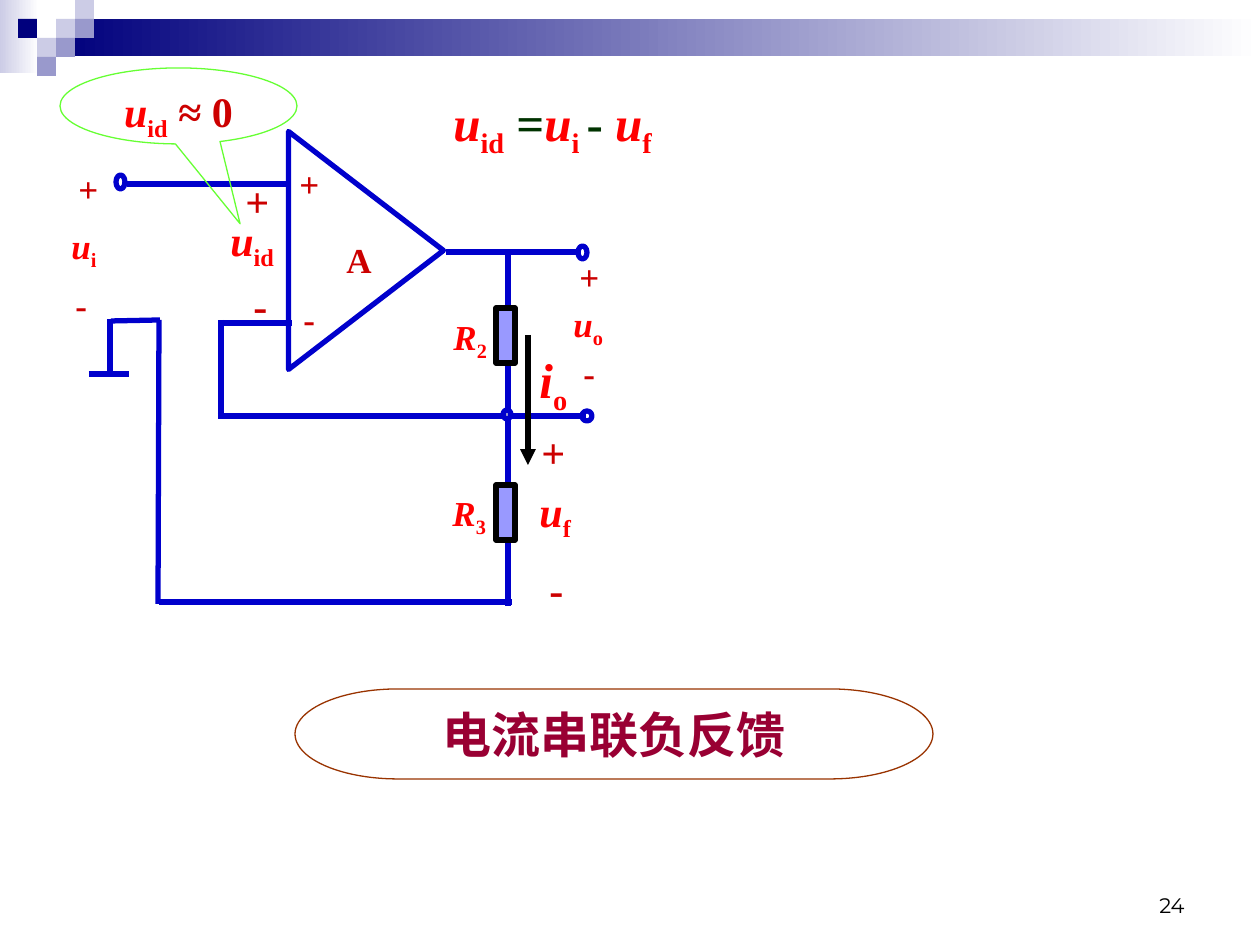
from lxml.etree import SubElement
from pptx import Presentation
from pptx.dml.color import RGBColor
from pptx.enum.shapes import MSO_CONNECTOR, MSO_SHAPE
from pptx.enum.text import MSO_ANCHOR, PP_ALIGN
from pptx.oxml.ns import qn
from pptx.util import Emu, Pt

COLORS = {
    "navy": "00007D", "lavender": "CCCCE6", "violet": "9999CC", "white": "FFFFFF",
    "wire": "0000CC", "resistor": "9999FF", "black": "000000", "brown": "993300",
    "lime": "66FF33", "symbol": "FF0000", "sign": "CC0000", "operator": "003300",
    "conclusion": "990033",
}
PIXELS_PER_INCH = 126
SERIF = "Times New Roman"


def px(value):
    """Turn pixels into EMU."""
    return Emu(round(value * 914400 / PIXELS_PER_INCH))


def color(name):
    """Look up a palette colour."""
    return RGBColor.from_string(COLORS[name])


def add_outline(slide, kind, box, line=None, width=3, fill=None):
    """Add a preset shape with an optional line and fill."""
    shape = slide.shapes.add_shape(kind, *map(px, box))
    shape.shadow.inherit = False
    if fill:
        shape.fill.solid()
        shape.fill.fore_color.rgb = color(fill)
    else:
        shape.fill.background()
    if line:
        shape.line.color.rgb = color(line)
        shape.line.width = Pt(width)
    else:
        shape.line.fill.background()
    return shape


def add_gradient(slide, box, start):
    """Add a bar that fades to white from left to right."""
    shape = add_outline(slide, MSO_SHAPE.RECTANGLE, box)
    shape.fill.gradient()
    shape.fill.gradient_angle = 0
    for stop, name in zip(shape.fill.gradient_stops, (start, "white")):
        stop.color.rgb = color(name)


def add_line(slide, points, line="wire", arrow=False):
    """Add a straight line, with an arrowhead at its end if asked."""
    connector = slide.shapes.add_connector(MSO_CONNECTOR.STRAIGHT, *map(px, points))
    connector.line.color.rgb = color(line)
    connector.line.width = Pt(3)
    if arrow:
        SubElement(connector.line._get_or_add_ln(), qn("a:tailEnd"), type="triangle")
    SubElement(connector._element.spPr, qn("a:effectLst"))


def write(shape, runs, size, align=PP_ALIGN.LEFT, anchor=MSO_ANCHOR.TOP, wrap=True,
          font=SERIF, bold=True):
    """Write (text, colour, style) runs into a shape."""
    frame = shape.text_frame
    frame.word_wrap = wrap
    frame.vertical_anchor = anchor
    paragraph = frame.paragraphs[0]
    paragraph.alignment = align
    for text, name, style in runs:
        run = paragraph.add_run()
        run.text = text
        run.font.name = font
        run.font.size = Pt(size)
        run.font.bold = bold
        run.font.italic = style == "italic"
        run.font.color.rgb = color(name)
        if style == "sub":
            run._r.get_or_add_rPr().set("baseline", "-25000")


def add_text(slide, box, runs, size, **options):
    """Add a text box."""
    write(slide.shapes.add_textbox(*map(px, box)), runs, size, **options)


def variable(letter, subscript):
    """Give the runs of an italic letter with its subscript."""
    return [(letter, "symbol", "italic"), (subscript, "symbol", "sub")]


def add_banner(slide):
    """Draw the fading bars and the mosaic of squares."""
    add_gradient(slide, (0, 0, 39, 73), "lavender")
    add_gradient(slide, (57, 19, 1203, 37), "navy")
    for column, row, name in ((3, 1, "lavender"), (4, 0, "lavender"), (4, 1, "violet"),
                              (2, 2, "lavender"), (1, 1, "navy"), (3, 2, "violet"),
                              (2, 3, "violet")):
        add_outline(slide, MSO_SHAPE.RECTANGLE, (19 * column - 1, 19 * row, 19, 19), fill=name)


def add_circuit(slide):
    """Draw the wires, amplifier, resistors, terminals and current arrow."""
    wires = (
        (508, 255, 508, 606), (159, 320, 158, 604), (446, 252, 581, 252),
        (221, 320, 221, 417), (159, 602, 512, 602), (127, 184, 289, 184),
        (218, 416, 586, 416), (111, 321, 160, 320), (219, 323, 292, 323),
        (110, 319, 110, 375), (89, 374, 129, 374),
    )
    for points in wires:
        add_line(slide, points)
    amplifier = add_outline(slide, MSO_SHAPE.ISOSCELES_TRIANGLE, (247, 173, 238, 155), "wire")
    amplifier.rotation = 90
    for top in (308, 485):
        add_outline(slide, MSO_SHAPE.RECTANGLE, (496, top, 19, 55), "black", fill="resistor")
    for box in ((578, 246, 9, 13), (116, 175, 9, 14), (582, 411, 10, 10)):
        add_outline(slide, MSO_SHAPE.OVAL, box, "wire")
    add_outline(slide, MSO_SHAPE.OVAL, (503, 410, 8, 9), "wire", fill="violet")
    add_line(slide, (528, 335, 528, 465), "black", arrow=True)


def add_labels(slide):
    """Label the signs and quantities of the circuit."""
    signs = (
        ("+", 233, 169, 62, 24), ("-", 241, 273, 48, 24), ("+", 529, 420, 58, 24),
        ("-", 537, 557, 44, 24), ("+", 287, 156, 78, 20), ("-", 291, 291, 79, 20),
        ("A", 334, 232, 79, 20), ("+", 567, 249, 55, 20), ("-", 571, 345, 55, 20),
        ("+", 66, 161, 73, 20), ("-", 63, 277, 55, 20),
    )
    for text, left, top, width, size in signs:
        add_text(slide, (left, top, width, 2 * size + 15), [(text, "sign", None)], size)
    quantities = (
        ("u", "id", 218, 208, 89, 24), ("u", "f", 527, 479, 71, 24),
        ("i", "o", 527, 343, 57, 28), ("u", "o", 561, 296, 68, 20),
        ("R", "2", 441, 309, 74, 20), ("R", "3", 440, 485, 67, 20),
        ("u", "i", 59, 218, 77, 20),
    )
    for letter, subscript, left, top, width, size in quantities:
        box = (left, top, width, 5 * size // 2 + 10)
        add_text(slide, box, variable(letter, subscript), size)


def add_statements(slide):
    """Add the equation, the callout, the conclusion and the slide number."""
    equation = [*variable("u", "id"), (" =", "operator", None), *variable("u", "i "),
                ("- ", "operator", None), *variable("u", "f")]
    add_text(slide, (441, 86, 249, 79), equation, 28)
    callout = add_outline(slide, MSO_SHAPE.OVAL_CALLOUT, (60, 68, 237, 76), "lime", 0.75)
    callout.adjustments[0], callout.adjustments[1] = 0.26, 1.55
    write(callout, [*variable("u", "id"), (" ≈ 0", "sign", None)], 24, PP_ALIGN.CENTER)
    conclusion = add_outline(slide, MSO_SHAPE.FLOWCHART_TERMINATOR, (295, 689, 638, 90),
                             "brown", 0.75)
    write(conclusion, [("电流串联负反馈", "conclusion", None)], 28, PP_ALIGN.CENTER,
          MSO_ANCHOR.MIDDLE, wrap=False)
    add_text(slide, (903, 861, 294, 63), [("24", "black", None)], 12, align=PP_ALIGN.RIGHT,
             anchor=MSO_ANCHOR.BOTTOM, font="Montserrat", bold=False)


def main():
    """Build and save the slide."""
    presentation = Presentation()
    presentation.slide_width, presentation.slide_height = px(1260), px(945)
    slide = presentation.slides.add_slide(presentation.slide_layouts[6])
    add_banner(slide)
    add_circuit(slide)
    add_labels(slide)
    add_statements(slide)
    presentation.save("out.pptx")


if __name__ == "__main__":
    main()
